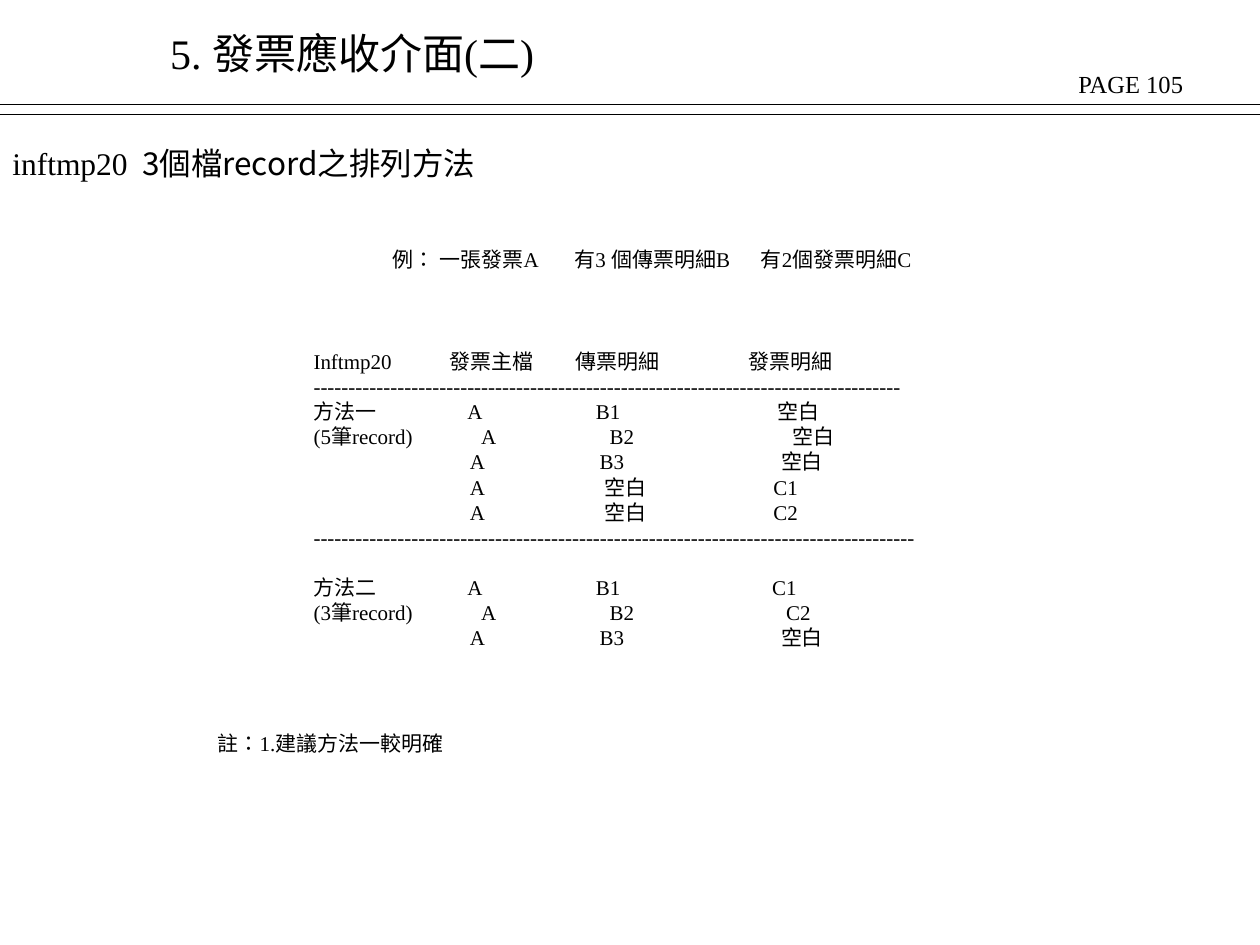
import pptx
import pptx.util
import pptx.dml.color
import pptx.enum.lang
import pptx.enum.shapes
import pptx.enum.text
import pptx.oxml.ns
from lxml import etree

Inches, Pt = pptx.util.Inches, pptx.util.Pt
qn = pptx.oxml.ns.qn

COLORS = {"ink": "000000", "paper": "FFFFFF"}
LATIN, CJK = "Times New Roman", "Noto Sans CJK TC"

TITLE = "5. 發票應收介面(二)"
PAGE = "PAGE 105"
HEADING = [("inftmp20\t", LATIN), ("3個檔record之排列方法", CJK)]
NOTE = "註：1.建議方法一較明確"

ROWS = [
    (["", "例： 一張發票A", "有3 個傳票明細B", "有2個發票明細C"], (0.63, 2.07, 3.55), 0),
    (["Inftmp20", "發票主檔", "傳票明細", "發票明細"], (1.08, 2.08, 3.45), 43.5),
    (["-" * 84], (), 0),
    (["方法一", "A", "B1", "空白"], (1.22, 2.24, 3.68), 0),
    (["(5筆record)", "A", "B2", "空白"], (1.33, 2.35, 3.8), 0),
    (["", "A", "B3", "空白"], (1.24, 2.27, 3.71), 0),
    (["", "A", "空白", "C1"], (1.24, 2.31, 3.65), 0),
    (["", "A", "空白", "C2"], (1.24, 2.31, 3.65), 0),
    (["-" * 86], (), 0),
    (["方法二", "A", "B1", "C1"], (1.22, 2.24, 3.64), 14),
    (["(3筆record)", "A", "B2", "C2"], (1.33, 2.35, 3.75), 0),
    (["", "A", "B3", "空白"], (1.24, 2.27, 3.71), 0),
]
RULES = (0.83, 0.91)


def color(name):
    return pptx.dml.color.RGBColor.from_string(COLORS[name])


def add_run(p, text, size, font=LATIN):
    r = p.add_run()
    r.text = text
    r.font.size = Pt(size)
    r.font.name = font
    r.font.color.rgb = color("ink")
    r.font.language_id = pptx.enum.lang.MSO_LANGUAGE_ID.TRADITIONAL_CHINESE
    etree.SubElement(r.font._element, qn("a:ea"), typeface=CJK)


def set_tabs(p, stops):
    tabs = etree.SubElement(p._p.get_or_add_pPr(), qn("a:tabLst"))
    for stop in stops:
        etree.SubElement(tabs, qn("a:tab"), pos=str(Inches(stop)), algn="l")


def add_box(s, left, top, width, height):
    tf = s.shapes.add_textbox(*map(Inches, (left, top, width, height))).text_frame
    tf.word_wrap = True
    return tf


prs = pptx.Presentation()
prs.slide_width, prs.slide_height = Inches(10), Inches(7.5)
s = prs.slides.add_slide(prs.slide_layouts[5])
s.background.fill.solid()
s.background.fill.fore_color.rgb = color("paper")

title = s.shapes.title
title.left, title.top, title.width, title.height = map(Inches, (1.25, 0.17, 7.58, 0.5))
tf = title.text_frame
tf.auto_size = pptx.enum.text.MSO_AUTO_SIZE.NONE
tf.vertical_anchor = pptx.enum.text.MSO_ANCHOR.TOP
p = tf.paragraphs[0]
p.alignment = pptx.enum.text.PP_ALIGN.LEFT
add_run(p, TITLE, 24)

add_run(add_box(s, 8.46, 0.5, 1.5, 0.34).paragraphs[0], PAGE, 14)

for y in RULES:
    rule = s.shapes.add_connector(
        pptx.enum.shapes.MSO_CONNECTOR.STRAIGHT, 0, Inches(y), Inches(10), Inches(y))
    rule.line.color.rgb = color("ink")
    rule.line.width = Pt(0.75)
    etree.SubElement(rule._element.spPr, qn("a:effectLst"))

p = add_box(s, 0, 1.09, 4.2, 0.4).paragraphs[0]
set_tabs(p, [1.03])
for text, font in HEADING:
    add_run(p, text, 18, font)

tf = add_box(s, 2.39, 1.91, 5.21, 3.4)
for i, (cells, stops, gap) in enumerate(ROWS):
    p = tf.add_paragraph() if i else tf.paragraphs[0]
    set_tabs(p, stops)
    if gap:
        p.space_before = Pt(gap)
    add_run(p, "\t".join(cells), 12)

add_run(add_box(s, 1.63, 5.75, 2.3, 0.5).paragraphs[0], NOTE, 12)

prs.save("out.pptx")
